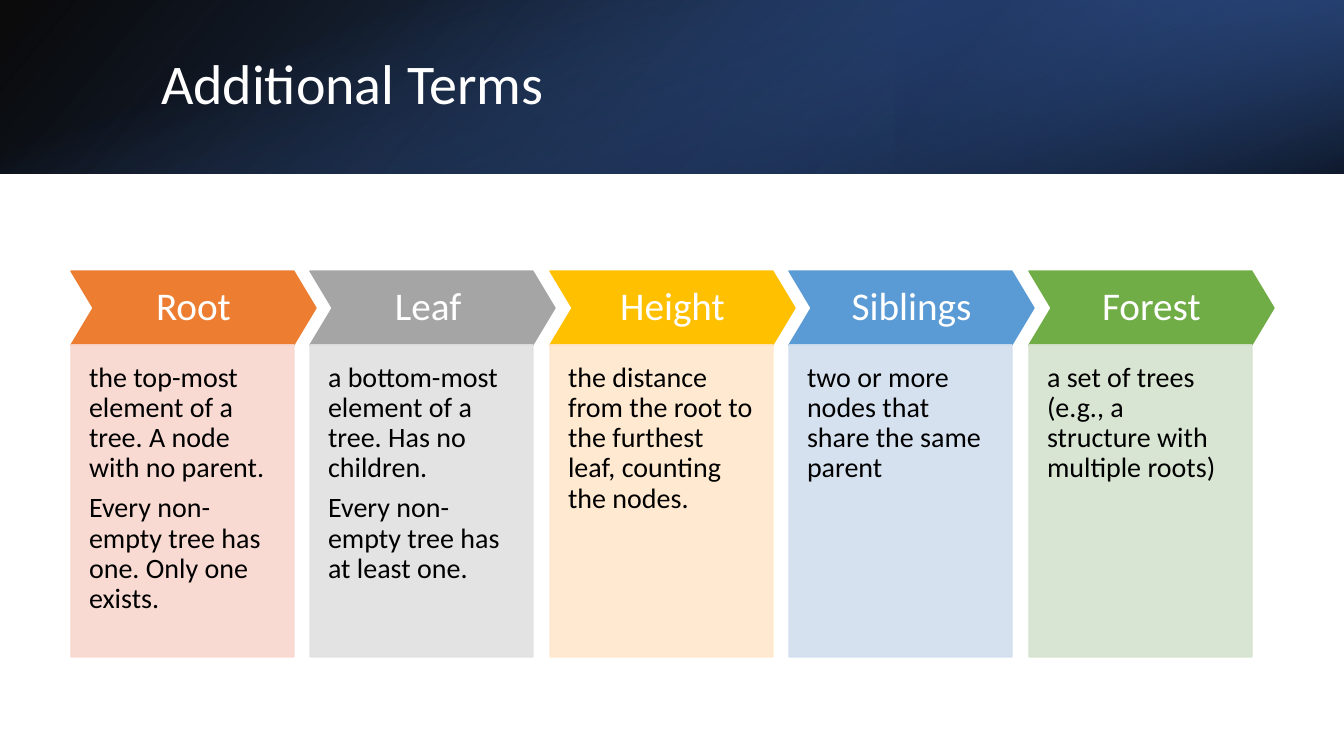
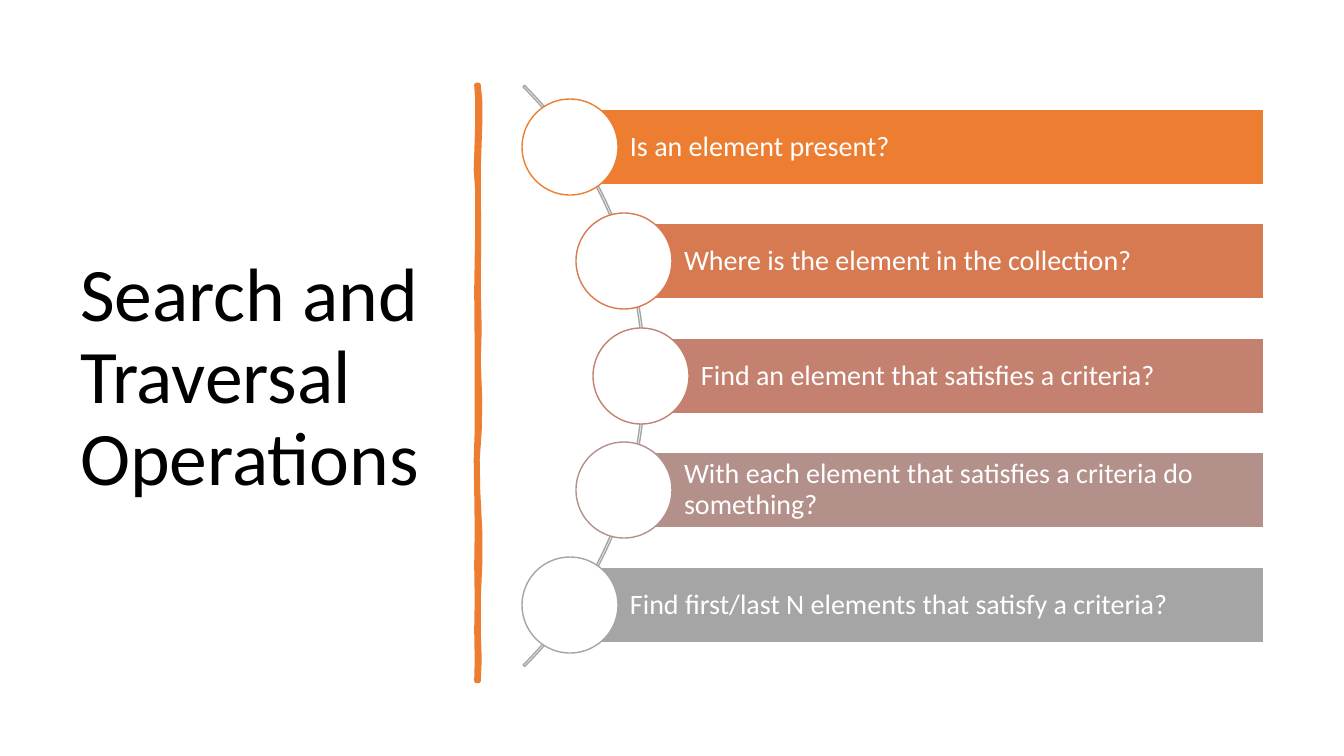
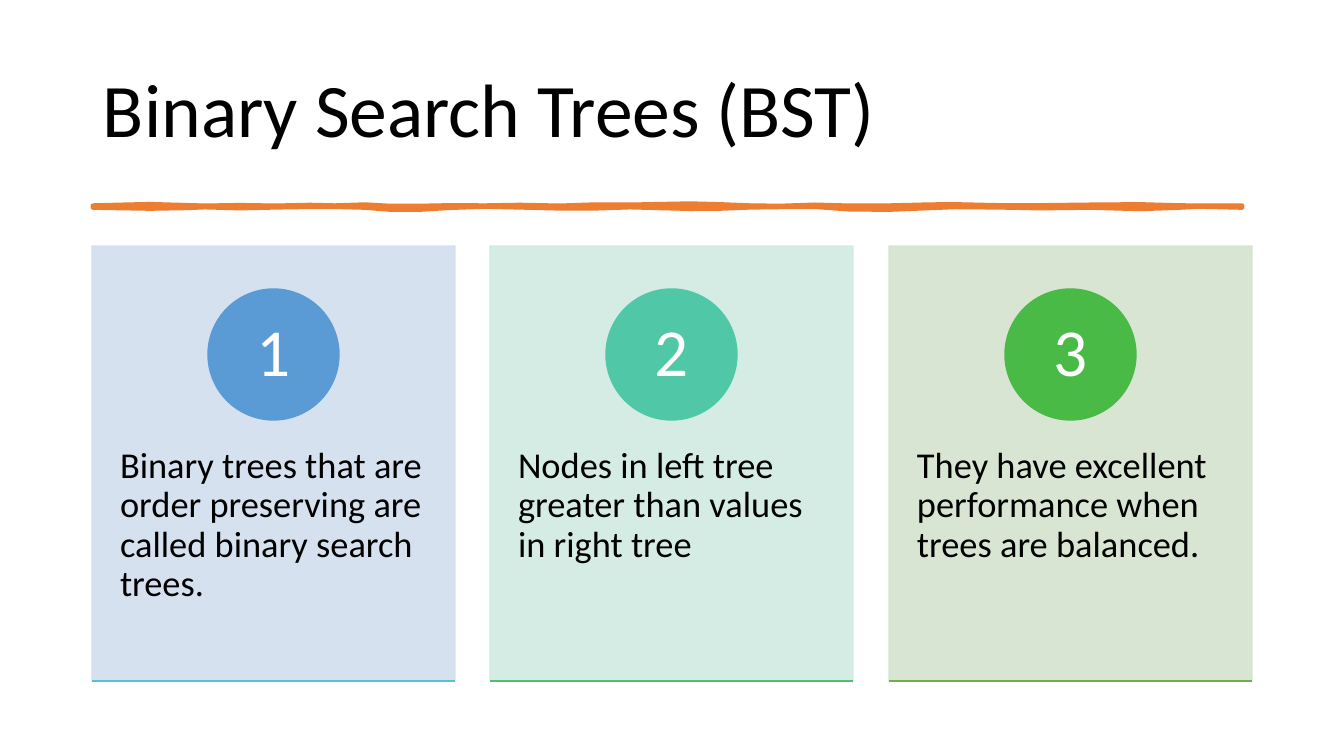
from lxml.etree import SubElement
from pptx import Presentation
from pptx.dml.color import RGBColor
from pptx.enum.shapes import MSO_CONNECTOR, MSO_SHAPE
from pptx.enum.text import MSO_ANCHOR, MSO_AUTO_SIZE, PP_ALIGN
from pptx.oxml import parse_xml
from pptx.oxml.ns import nsdecls, qn
from pptx.util import Pt

SCALE = 914400 / 100.8
FONT = "Calibri"
COLORS = {
    "white": "FFFFFF", "black": "000000", "orange": "ED7D31", "gray": "A5A5A5",
    "gold": "FFC000", "blue": "5B9BD5", "green": "70AD47", "royal": "4472C4",
    "navy": "203864", "denim": "2F5597", "pale orange": "F8D7CE",
    "pale gray": "E1E1E1", "pale gold": "FFE8CC", "pale blue": "D2DEEF",
    "pale green": "D5E3CF", "pale teal": "D0EAE1", "copper": "D87A51",
    "clay": "C48170", "taupe": "B4908B", "teal": "50C8A7", "leaf": "4ABA46",
    "cyan": "55C3CF", "mint": "4BC174",
}


def px(length):
    return round(length * SCALE)


def rgb(name):
    return RGBColor.from_string(COLORS[name])


class Deck:
    """Holds the shared style and the slide being built."""

    def __init__(self):
        self.show = Presentation()
        self.show.slide_width, self.show.slide_height = px(1344), px(756)
        self.page = None

    def add_page(self):
        self.page = self.show.slides.add_slide(self.show.slide_layouts[5])

    def label(self, shape, texts, size, color, align=PP_ALIGN.LEFT,
              anchor=MSO_ANCHOR.MIDDLE, insets=(10, 5, 10, 5), after=0.35):
        box = shape.text_frame
        box.word_wrap = True
        box.auto_size = MSO_AUTO_SIZE.NONE
        box.vertical_anchor = anchor
        (box.margin_left, box.margin_top,
         box.margin_right, box.margin_bottom) = map(px, insets)
        box.text = "\n".join(texts)
        for para in box.paragraphs:
            para.alignment = align
            para.line_spacing = 0.9
            para.space_before = Pt(0)
            para.space_after = Pt(round(size * after, 2))
            para.font.name = FONT
            para.font.size = Pt(size)
            para.font.color.rgb = rgb(color)

    def heading(self, text, frame, size=54, color="black"):
        title = self.page.shapes.title
        title.left, title.top, title.width, title.height = map(px, frame)
        self.label(title, [text], size, color, after=0)
        self.page.shapes._spTree.append(title._element)

    def paint(self, shape, fill, line, width=1):
        shape.shadow.inherit = False
        if fill:
            shape.fill.solid()
            shape.fill.fore_color.rgb = rgb(fill)
        else:
            shape.fill.background()
        if line:
            shape.line.color.rgb = rgb(line)
            shape.line.width = Pt(width)
        else:
            shape.line.fill.background()

    def shape(self, kind, frame, fill=None, line=None):
        shape = self.page.shapes.add_shape(kind, *map(px, frame))
        self.paint(shape, fill, line)
        return shape

    def panel(self, frame, color, text, size, insets):
        panel = self.shape(MSO_SHAPE.RECTANGLE, frame, color, color)
        for tint in panel._element.spPr.iter(qn("a:srgbClr")):
            SubElement(tint, qn("a:alpha"), val="90000")
        self.label(panel, text, size, "black", anchor=MSO_ANCHOR.TOP, insets=insets)

    def gradient(self, frame, stops, angle, rotation=0, flip=False):
        band = self.shape(MSO_SHAPE.RECTANGLE, frame)
        band.rotation = rotation
        marks = "".join(
            f'<a:gs pos="{place * 1000}"><a:srgbClr val="{COLORS[name]}">'
            f'<a:alpha val="{opacity * 1000}"/></a:srgbClr></a:gs>'
            for place, name, opacity in stops)
        properties = band._element.spPr
        properties.replace(properties.find(qn("a:noFill")), parse_xml(
            f'<a:gradFill {nsdecls("a")} rotWithShape="1"><a:gsLst>{marks}</a:gsLst>'
            f'<a:lin ang="{angle * 60000}" scaled="0"/></a:gradFill>'))
        if flip:
            properties.get_or_add_xfrm().set("flipH", "1")

    def rule(self, left, right, y, color):
        line = self.page.shapes.add_connector(
            MSO_CONNECTOR.STRAIGHT, px(left), px(y), px(right), px(y))
        line.line.color.rgb = rgb(color)
        line.line.width = Pt(1)
        SubElement(line._element.spPr, qn("a:effectLst"))

    def brush(self, stations, vertical=False):
        """Draws a hand-made stroke; stations are along, near, far in tenths of px."""
        near = [(along, edge) for along, edge, _ in stations]
        far = [(along, edge) for along, _, edge in reversed(stations)]
        points = [(y, x) if vertical else (x, y) for x, y in near + far]
        outline = self.page.shapes.build_freeform(*points[0], scale=SCALE / 10)
        outline.add_line_segments(points[1:], close=True)
        self.paint(outline.convert_to_shape(), "orange", "orange", 3.25)


def terms_slide(deck):
    deck.add_page()
    deck.gradient((0, 0, 1344, 174), [(0, "black", 96), (100, "denim", 100)],
                  140, flip=True)
    deck.gradient((896, 0, 448, 174), [(19, "navy", 68), (100, "royal", 79)],
                  320, rotation=180, flip=True)
    deck.gradient((585, -585, 174, 1344), [(23, "royal", 0), (99, "black", 74)],
                  340, rotation=90)
    deck.heading("Additional Terms", (151, 38, 1106, 97), 40, "white")
    terms = [
        ("Root", "orange", ["the top-most element of a tree. A node with no parent.",
                            "Every non-empty tree has one. Only one exists."]),
        ("Leaf ", "gray", ["a bottom-most element of a tree. Has no children.",
                           "Every non-empty tree has at least one."]),
        ("Height", "gold",
         ["the distance from the root to the furthest leaf, counting the nodes."]),
        ("Siblings", "blue", ["two or more nodes that share the same parent"]),
        ("Forest", "green", ["a set of trees (e.g., a structure with multiple roots)"]),
    ]
    for index, (term, color, meaning) in enumerate(terms):
        left = round(71 + 239.4 * index)
        chevron = deck.shape(MSO_SHAPE.CHEVRON, (left, 271, 245, 74), color, color)
        chevron.adjustments[0] = 0.3
        deck.label(chevron, [term], 28, "white", PP_ALIGN.CENTER, insets=(9, 9, 9, 9))
        deck.panel((left, 345, 223, 312), "pale " + color, meaning, 20, (18, 18, 18, 35))


def operations_slide(deck):
    deck.add_page()
    deck.heading("Search and Traversal Operations", (70, 71, 377, 616))
    deck.brush([
        (850, 4765, 4785), (1000, 4775, 4800), (1250, 4775, 4800),
        (1700, 4760, 4785), (1900, 4775, 4785), (2300, 4775, 4790),
        (2900, 4765, 4785), (3300, 4768, 4795), (3600, 4770, 4785),
        (4000, 4770, 4800), (4300, 4770, 4795), (4600, 4760, 4775),
        (4900, 4765, 4780), (5300, 4770, 4800), (5650, 4765, 4800),
        (6000, 4770, 4785), (6300, 4765, 4785), (6600, 4770, 4795),
        (6810, 4765, 4785)], vertical=True)
    arc = deck.shape(MSO_SHAPE.BLOCK_ARC, (-177, -35, 822, 822), line="gray")
    for index, value in enumerate((189, 27, 0.0027)):
        arc.adjustments[index] = value
    questions = [
        (570, "orange", "Is an element present?"),
        (624, "copper", "Where is the element in the collection?"),
        (641, "clay", "Find an element that satisfies a criteria?"),
        (624, "taupe", "With each element that satisfies a criteria do something?"),
        (570, "gray", "Find first/last N elements that satisfy a criteria?"),
    ]
    for index, (center, color, question) in enumerate(questions):
        top = round(109 + 114.4 * index)
        bar = deck.shape(MSO_SHAPE.RECTANGLE, (center, top, 1264 - center, 76),
                         color, "white")
        deck.label(bar, [question], 20, "white", insets=(60, 6, 6, 6))
        deck.shape(MSO_SHAPE.OVAL, (center - 48, top - 10, 96, 96), "white", color)


def search_trees_slide(deck):
    deck.add_page()
    deck.heading("Binary Search Trees (BST)", (93, 40, 1159, 146))
    deck.brush([
        (930, 2056, 2076), (1150, 2050, 2080), (1500, 2042, 2086),
        (1850, 2052, 2080), (2050, 2058, 2072), (2400, 2052, 2082),
        (2750, 2058, 2074), (3100, 2050, 2068), (3350, 2056, 2068),
        (3650, 2046, 2076), (3900, 2060, 2096), (4200, 2060, 2096),
        (4500, 2054, 2078), (4850, 2056, 2066), (5200, 2050, 2074),
        (5600, 2058, 2084), (5950, 2046, 2084), (6300, 2048, 2072),
        (6900, 2036, 2088), (7200, 2044, 2086), (7500, 2056, 2074),
        (7800, 2060, 2070), (8150, 2048, 2068), (8500, 2058, 2094),
        (8900, 2056, 2096), (9300, 2046, 2080), (9550, 2044, 2070),
        (10000, 2054, 2074), (10400, 2054, 2082), (10900, 2048, 2076),
        (11400, 2044, 2090), (11750, 2054, 2078), (12000, 2058, 2066),
        (12420, 2056, 2076)])
    facts = [
        ("pale blue", "blue", "cyan",
         "Binary trees that are order preserving are called binary search trees."),
        ("pale teal", "teal", "mint",
         "Nodes in left tree greater than values in right tree"),
        ("pale green", "leaf", "green",
         "They have excellent performance when trees are balanced."),
    ]
    for index, (tint, color, edge, fact) in enumerate(facts):
        left = round(92 + 398.4 * index)
        deck.panel((left, 246, 363, 435), tint, [fact], 26, (28, 201, 28, 36))
        badge = deck.shape(MSO_SHAPE.OVAL, (left + 116, 289, 131, 131), color, color)
        deck.label(badge, [str(index + 1)], 48, "white", PP_ALIGN.CENTER,
                   insets=(10, 1, 10, 1))
        deck.rule(left, left + 363, 681, edge)


def main():
    deck = Deck()
    terms_slide(deck)
    operations_slide(deck)
    search_trees_slide(deck)
    deck.show.save("out.pptx")


if __name__ == "__main__":
    main()
